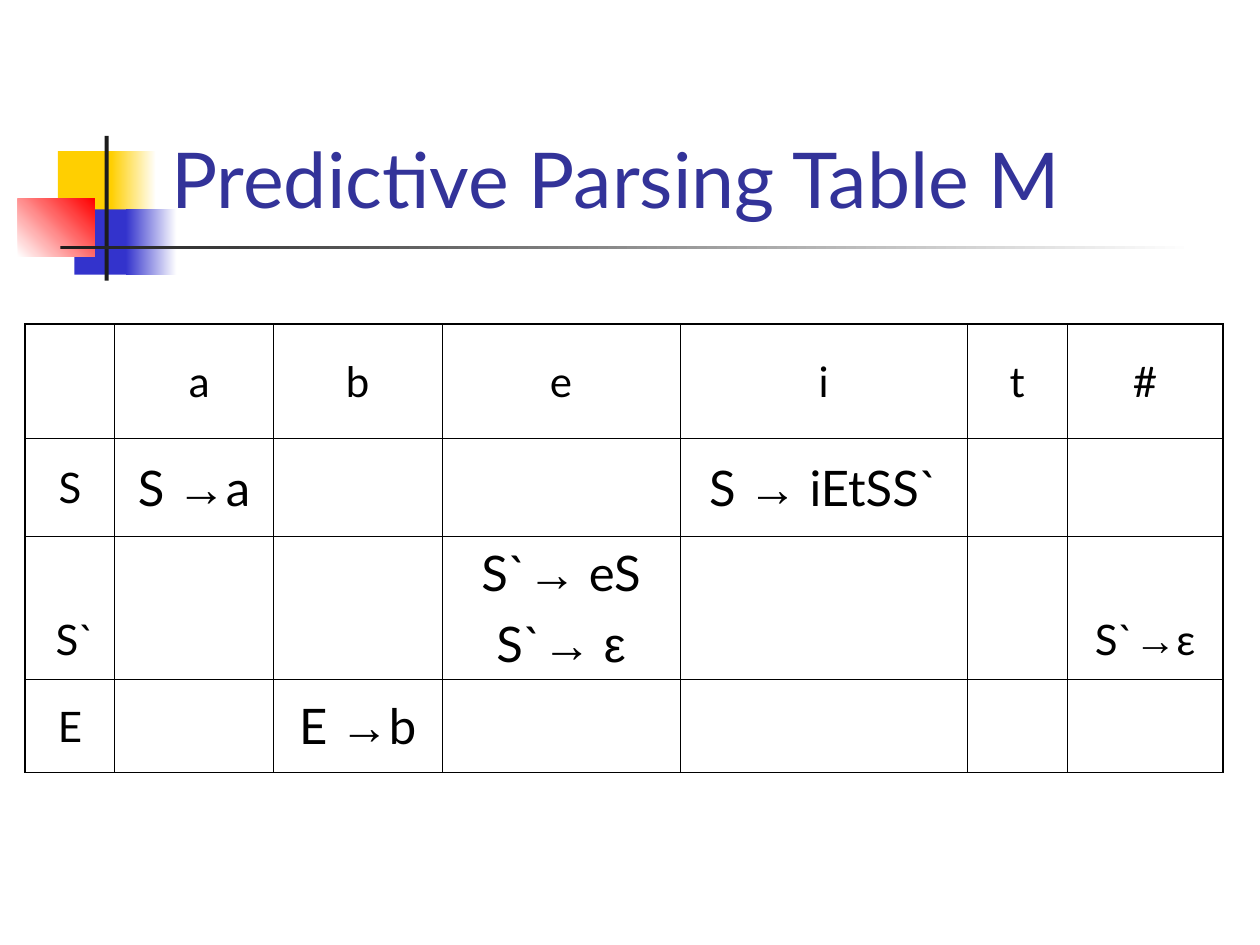
from itertools import groupby

from lxml import etree
from pptx import Presentation
from pptx import util as u
from pptx.dml.color import RGBColor
from pptx.enum import shapes, text
from pptx.oxml import ns

WHITE = RGBColor(0xFF, 0xFF, 0xFF)
BLACK = RGBColor(0, 0, 0)
INK = RGBColor(0x1C, 0x1C, 0x1C)
GOLD = RGBColor(0xFF, 0xCF, 0x01)
BLUE = RGBColor(0x33, 0x33, 0xCC)
RED = RGBColor(0xFF, 0, 0)
NAVY = RGBColor(0x33, 0x33, 0x99)

# Title ornament: left, top, width, height in cm, start and end colour, angle
DECOR = [
    (1.17, 3.05, 1.22, 1.32, GOLD, None, 0),
    (2.24, 3.05, 0.91, 1.32, GOLD, WHITE, 0),
    (1.50, 4.22, 1.17, 1.32, BLUE, None, 0),
    (2.54, 4.22, 1.02, 1.32, BLUE, WHITE, 0),
    (0.36, 4.01, 1.55, 1.17, WHITE, RED, 45),
    (2.11, 2.74, 0.08, 2.92, INK, None, 0),
    (1.22, 4.95, 22.86, 0.08, INK, WHITE, 0),
]

# Parsing table: sizes in cm, then texts by (row, column)
COLS = [1.8, 3.2, 3.4, 4.8, 5.79, 2.01, 3.15]
ROWS = [2.31, 1.98, 2.87, 1.88]
HEADS = [" a", "b", "e", "i", "t", "#"]
LABELS = ["S", " S`", "E"]
RULES = {
    (1, 1): ["S →a"],
    (1, 4): ["S → iEtSS`"],
    (2, 3): ["S`→ eS", "S`→ ε"],
    (3, 2): ["E →b"],
}
END_RULE = "S`→ε"
THIN, THICK = 0.45, 1.08


def write(frame, lines, size=24, color=BLACK, align=text.PP_ALIGN.CENTER,
          gap=7, sym="→"):
    """Fill a frame with lines; the characters in sym are set in Arial."""
    for i, line in enumerate(lines):
        para = frame.add_paragraph() if i else frame.paragraphs[0]
        para.alignment = align
        para.space_before = u.Pt(gap if i else 0)
        for is_sym, chars in groupby(line, lambda c: c in sym):
            run = para.add_run()
            run.text = "".join(chars)
            run.font.name = "Arial" if is_sym else "Lato"
            run.font.size = u.Pt(size)
            run.font.color.rgb = color


def add_block(slide, left, top, width, height, start, end, angle):
    block = slide.shapes.add_shape(
        shapes.MSO_SHAPE.RECTANGLE,
        u.Cm(left), u.Cm(top), u.Cm(width), u.Cm(height))
    block.shadow.inherit = False
    block.line.fill.background()
    if end is None:
        block.fill.solid()
        block.fill.fore_color.rgb = start
        return
    block.fill.gradient()
    block.fill.gradient_angle = angle
    for stop, color in zip(block.fill.gradient_stops, (start, end)):
        stop.color.rgb = color


def add_title(slide):
    title = slide.shapes.title
    title.left, title.top = u.Cm(3.2), u.Cm(0.58)
    title.width, title.height = u.Cm(21.64), u.Cm(4.06)
    frame = title.text_frame
    frame.word_wrap = True
    frame.auto_size = text.MSO_AUTO_SIZE.NONE
    frame.vertical_anchor = text.MSO_ANCHOR.BOTTOM
    write(frame, ["Predictive Parsing Table M"], size=44, color=NAVY,
          align=text.PP_ALIGN.LEFT)


def set_edges(cell, **widths):
    props = cell._tc.get_or_add_tcPr()
    for side in "LRTB":
        line = etree.SubElement(props, ns.qn("a:ln" + side),
                                w=str(u.Pt(widths[side])))
        fill = etree.SubElement(line, ns.qn("a:solidFill"))
        etree.SubElement(fill, ns.qn("a:srgbClr"), val=str(BLACK))


def add_grid(slide):
    grid = slide.shapes.add_table(
        len(ROWS), len(COLS), u.Cm(0.51), u.Cm(6.53),
        u.Cm(sum(COLS)), u.Cm(sum(ROWS))).table
    grid.first_row = grid.horz_banding = False
    for col, width in zip(grid.columns, COLS):
        col.width = u.Cm(width)
    for row, height in zip(grid.rows, ROWS):
        row.height = u.Cm(height)

    # Thin inner lines, thick outer frame
    end_row, end_col = len(ROWS) - 1, len(COLS) - 1
    for r in range(len(ROWS)):
        for c in range(len(COLS)):
            cell = grid.cell(r, c)
            set_edges(cell,
                      L=THIN if c else THICK,
                      R=THICK if c == end_col else THIN,
                      T=THIN if r else THICK,
                      B=THICK if r == end_row else THIN)
            cell.fill.background()
            cell.vertical_anchor = text.MSO_ANCHOR.MIDDLE

    # Symbols and rules
    for c, head in enumerate(HEADS, 1):
        write(grid.cell(0, c).text_frame, [head])
    for r, label in enumerate(LABELS, 1):
        write(grid.cell(r, 0).text_frame, [label])
    for (r, c), lines in RULES.items():
        write(grid.cell(r, c).text_frame, lines, size=28, sym="→ε")
    write(grid.cell(2, end_col).text_frame, [END_RULE])

    # The S` label and its end rule sit low in their row
    for c in (0, end_col):
        cell = grid.cell(2, c)
        cell.vertical_anchor = text.MSO_ANCHOR.BOTTOM
        cell.margin_bottom = u.Cm(0.3)


def main():
    deck = Presentation()
    deck.slide_width, deck.slide_height = u.Cm(25.4), u.Cm(19.05)
    slide = deck.slides.add_slide(deck.slide_layouts[5])
    for block in DECOR:
        add_block(slide, *block)
    add_title(slide)
    add_grid(slide)
    deck.save("out.pptx")


if __name__ == "__main__":
    main()
